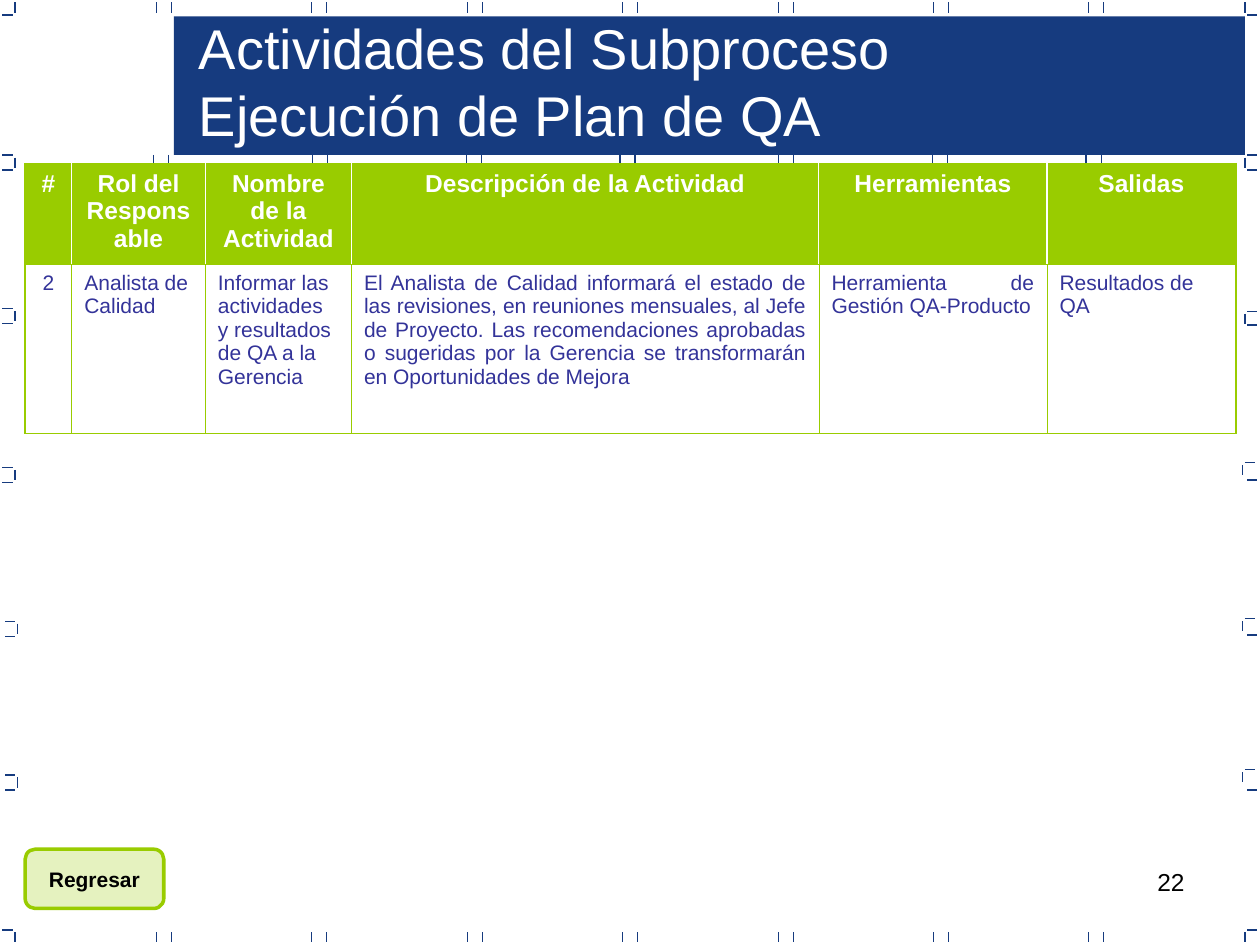
from lxml.etree import SubElement
from pptx import Presentation
from pptx.dml.color import RGBColor
from pptx.enum.shapes import MSO_CONNECTOR as Connector, MSO_SHAPE as Shape
from pptx.enum.text import MSO_ANCHOR as Anchor, PP_ALIGN as Align
from pptx.oxml import parse_xml
from pptx.oxml.ns import nsdecls, qn
from pptx.util import Pt

PX = 9144  # 100 px to the inch
NAVY, GREEN, INDIGO, WHITE, BLACK = "163B7F", "99CC00", "333399", "FFFFFF", "000000"
TICK = 8
color = RGBColor.from_string

TITLE = {"size": Pt(32), "name": "Arial"}
HEADER = {"size": Pt(14), "name": "Arial", "bold": True}
BODY = {"size": Pt(12), "name": "Arial", "bold": False}
NUMBER = {"size": Pt(14), "name": "Arial"}
BUTTON = {"size": Pt(12), "name": "Arial", "bold": True}


def write(frame, text, font_format, hex_color, align=Align.LEFT):
    """Fill a text frame, one paragraph for each line of text."""
    frame.text = text
    for paragraph in frame.paragraphs:
        paragraph.alignment = align
        for name, value in font_format.items():
            setattr(paragraph.font, name, value)
        paragraph.font.color.rgb = color(hex_color)


presentation = Presentation()
presentation.slide_width, presentation.slide_height = 1000 * PX, 750 * PX
slide = presentation.slides.add_slide(presentation.slide_layouts[6])
shapes = slide.shapes

# Page number
box = shapes.add_textbox(717 * PX, 683 * PX, 233 * PX, 52 * PX)
box.text_frame.word_wrap = True
write(box.text_frame, "22", NUMBER, BLACK, Align.RIGHT)

# Title band
band = shapes.add_shape(Shape.RECTANGLE, 138 * PX, 13 * PX, 850 * PX, 110 * PX)
band.shadow.inherit = False
band.fill.solid()
band.fill.fore_color.rgb = color(NAVY)
band.line.fill.background()

# Frame ticks, each given by its left or top end
vertical, horizontal = [], []
for column in range(7):
    right = round(136 + 123.4 * column)
    vertical += [(x, y) for x in (right, right - 12) for y in (2, 740)]
for right in (134, 260, 382, 504, 630, 752, 874):
    vertical += [(right, 123), (right - 12, 123)]
    horizontal.append((right - 10, 133))
for x, y in ((12, 125), (12, 247), (12, 373), (14, 495), (14, 617)):
    vertical.append((x, y))
    horizontal += [(x - 10, y - 2), (x - 10, y + 10)]
for row, (x, y) in enumerate(((988, 125), (988, 249), (986, 369), (986, 493), (986, 613))):
    vertical.append((x, y))
    horizontal += [(x + 2, y - 2), (990, 135 + 123 * row)]
vertical += [(x, y) for x in (12, 988) for y in (2, 740)]
horizontal += [(x, y) for x in (2, 990) for y in (12, 738)]

ticks = [(x, y, x, y + TICK) for x, y in vertical]
ticks += [(x, y, x + TICK, y) for x, y in horizontal]
for ends in ticks:
    tick = shapes.add_connector(Connector.STRAIGHT, *(end * PX for end in ends))
    tick.line.color.rgb = color(NAVY)
    tick.line.width = Pt(0.75)
    SubElement(tick._element.spPr, qn("a:effectLst"))

# Activity table
widths = (37, 106, 116, 371, 181, 150)
heights = (80, 134)
headers = ("#", "Rol del Responsable", "Nombre de la Actividad",
           "Descripción de la Actividad", "Herramientas", "Salidas")
activity = (
    ("2", Align.CENTER),
    ("Analista de Calidad", Align.LEFT),
    ("Informar las actividades y resultados de QA a la Gerencia", Align.LEFT),
    ("El Analista de Calidad informará el estado de las revisiones, en reuniones "
     "mensuales, al Jefe de Proyecto. Las recomendaciones aprobadas o sugeridas por "
     "la Gerencia se transformarán en Oportunidades de Mejora", Align.JUSTIFY),
    ("Herramienta de Gestión QA-Producto", Align.JUSTIFY),
    ("Resultados de QA", Align.LEFT),
)
rows = ([(text, Align.CENTER) for text in headers], activity)
table = shapes.add_table(len(rows), len(widths), 20 * PX, 130 * PX,
                         sum(widths) * PX, sum(heights) * PX).table
table.first_row = table.horz_banding = False
for column, width in zip(table.columns, widths):
    column.width = width * PX
for row, height in zip(table.rows, heights):
    row.height = height * PX

outer = (GREEN, 1.08)
middle = (GREEN, 0.75)
for row_index, row in enumerate(rows):
    is_header = row_index == 0
    inner = (WHITE, 0.75) if is_header else (GREEN, 0.45)
    for column_index, (text, align) in enumerate(row):
        cell = table.cell(row_index, column_index)
        write(cell.text_frame, text, HEADER if is_header else BODY,
              WHITE if is_header else INDIGO, align)
        if is_header:
            cell.fill.solid()
            cell.fill.fore_color.rgb = color(GREEN)
        else:
            cell.fill.background()
        borders = {
            "lnL": outer if column_index == 0 else inner,
            "lnR": outer if column_index == len(widths) - 1 else inner,
            "lnT": outer if is_header else middle,
            "lnB": middle if is_header else outer,
        }
        properties = cell._tc.get_or_add_tcPr()
        for position, (tag, (hex_color, points)) in enumerate(borders.items()):
            properties.insert(position, parse_xml(
                f'<a:{tag} {nsdecls("a")} w="{Pt(points)}"><a:solidFill>'
                f'<a:srgbClr val="{hex_color}"/></a:solidFill></a:{tag}>'))

# Title
title = shapes.add_textbox(148 * PX, 6 * PX, 832 * PX, 117 * PX)
title.text_frame.word_wrap = True
write(title.text_frame, "Actividades del Subproceso\nEjecución de Plan de QA", TITLE, WHITE)

# Back button
button = shapes.add_shape(Shape.FLOWCHART_ALTERNATE_PROCESS,
                          20 * PX, 674 * PX, 110 * PX, 47 * PX)
button.shadow.inherit = False
button.fill.solid()
button.fill.fore_color.rgb = color(GREEN)
fill_color = button._element.spPr.find(qn("a:solidFill")).find(qn("a:srgbClr"))
SubElement(fill_color, qn("a:alpha"), val="25000")
button.line.color.rgb = color(GREEN)
button.line.width = Pt(2)
button.text_frame.word_wrap = False
button.text_frame.vertical_anchor = Anchor.MIDDLE
write(button.text_frame, "Regresar", BUTTON, BLACK, Align.CENTER)

presentation.save("out.pptx")
